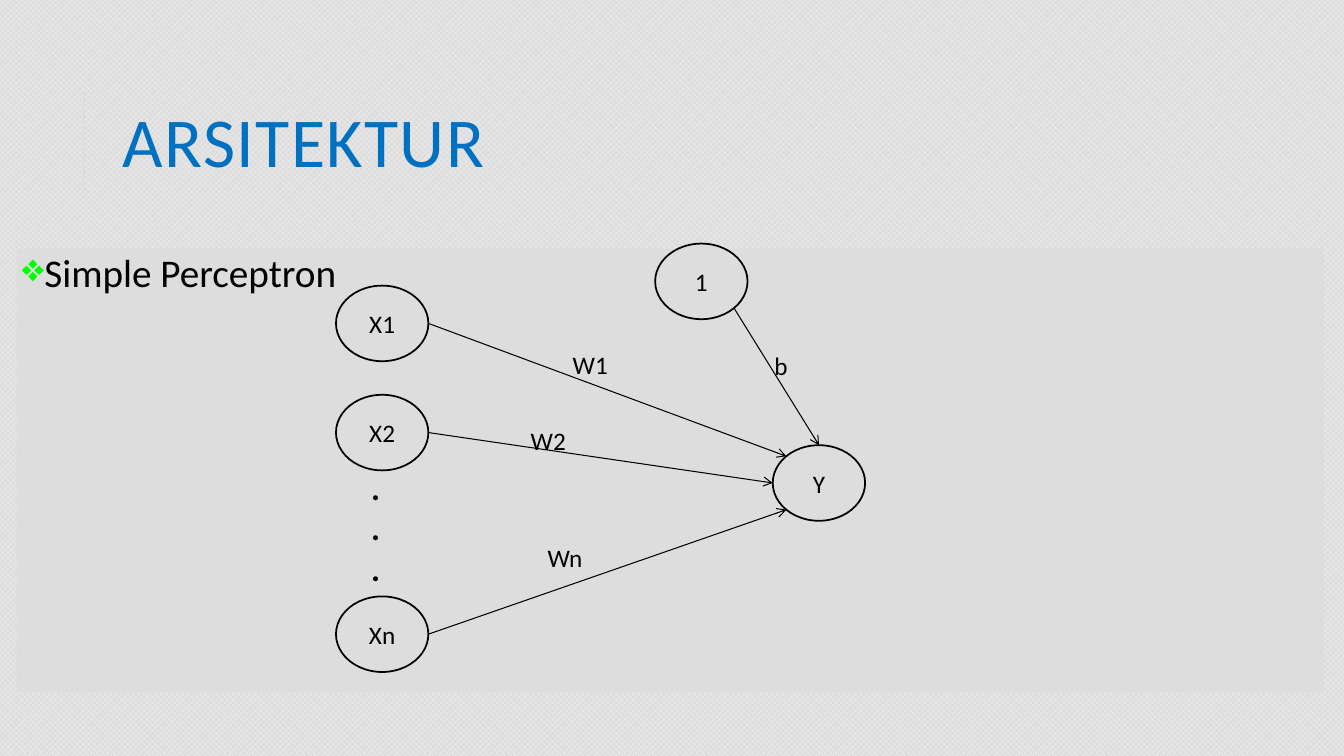
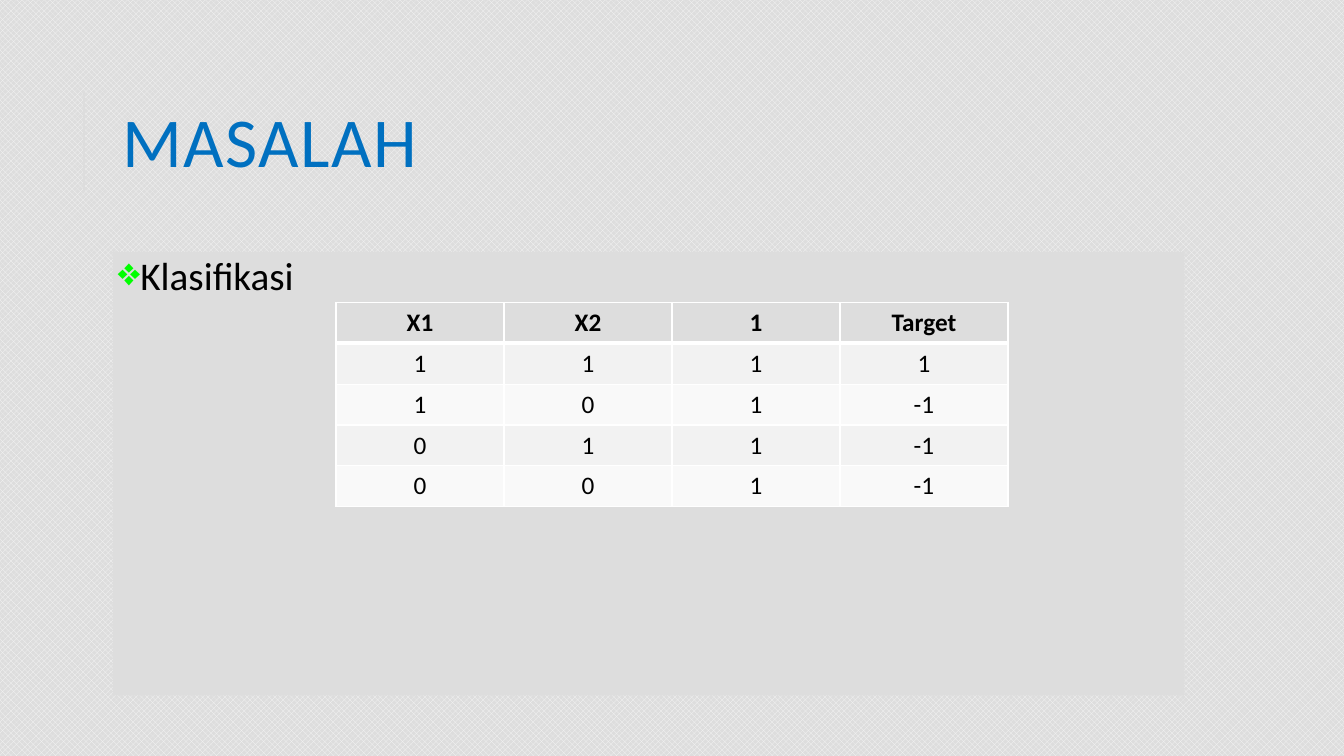
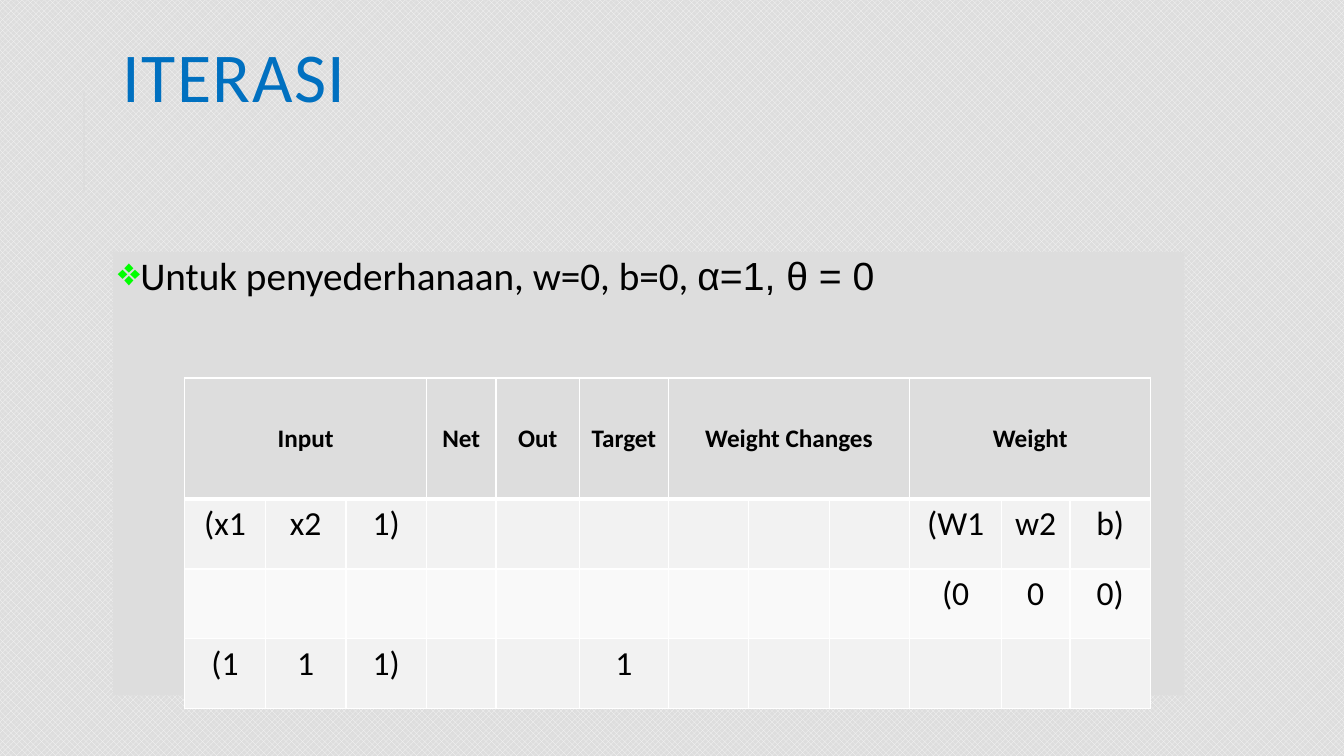
from math import cos, sin, radians
from lxml.etree import SubElement
from pptx import Presentation
from pptx.dml.color import RGBColor
from pptx.enum.dml import MSO_PATTERN
from pptx.enum.shapes import MSO_CONNECTOR, MSO_SHAPE
from pptx.enum.text import MSO_ANCHOR as ANCHOR, PP_ALIGN as ALIGN
from pptx.oxml.ns import qn
from pptx.util import Inches, Pt

COLUMNS, ROWS = 160, 90
BLUE, GREEN, BLACK, WHITE = "0070C0", "00FF00", "000000", "FFFFFF"
GREY, PALE, BAND, LIGHT = "DDDDDD", "F8F8F8", "F2F2F2", "F9F9F9"
TOP, TOP_LEFT, LEFT, BOTTOM_LEFT, BOTTOM_RIGHT, RIGHT = 0, 1, 2, 3, 5, 6


def rgb(code):
    return RGBColor.from_string(code)


def grid(*lengths):
    return [Inches(length / 12) for length in lengths]


def write(frame, content, size=18, color=BLACK, font="Calibri", bold=False, align=ALIGN.LEFT,
          anchor=ANCHOR.TOP, spacing=None, tracking=None, extra=None):
    frame.word_wrap = True
    frame.vertical_anchor = anchor
    for index, line in enumerate(content.split("\n")):
        paragraph = frame.add_paragraph() if index else frame.paragraphs[0]
        paragraph.alignment = align
        if spacing:
            paragraph.line_spacing = spacing
        for words, face in [(line, font)] + ([extra] if extra else []):
            run = paragraph.add_run()
            run.text = words
            run.font.name, run.font.size, run.font.bold = face, Pt(size), bold
            run.font.color.rgb = rgb(color)
            if tracking:
                run._r.get_or_add_rPr().set("spc", str(tracking * 100))


class Deck:
    """Holds the shared style and the slide being built."""

    def __init__(self):
        self.show = Presentation()
        self.show.slide_width, self.show.slide_height = grid(COLUMNS, ROWS)
        weave = self.show.slide_master.background.fill
        weave.patterned()
        weave.pattern = MSO_PATTERN.SOLID_DIAMOND
        weave.fore_color.rgb, weave.back_color.rgb = rgb(PALE), rgb(GREY)

    def start(self, title, top=7.7):
        self.shapes = self.show.slides.add_slide(self.show.slide_layouts[6]).shapes
        self.line((10, 22.8), (10, 10.8), GREY, 1.5)
        heading = self.shapes.add_textbox(*grid(13.44, top, 127.56, 19.7))
        write(heading.text_frame, title, size=50, color=BLUE, anchor=ANCHOR.MIDDLE,
              spacing=0.8, tracking=1)

    def line(self, start, end, color=BLACK, width=0.75):
        line = self.shapes.add_connector(MSO_CONNECTOR.STRAIGHT, *grid(*start, *end))
        line.line.color.rgb = rgb(color)
        line.line.width = Pt(width)
        SubElement(line._element.spPr, qn("a:effectLst"))
        return line

    def shape(self, kind, box, outline=None):
        shape = self.shapes.add_shape(kind, *grid(*box))
        shape.shadow.inherit = False
        shape.fill.solid()
        shape.fill.fore_color.rgb = rgb(GREY)
        if outline:
            shape.line.color.rgb = rgb(BLACK)
            shape.line.width = Pt(outline)
        else:
            shape.line.fill.background()
        return shape

    def body(self, content, left=13.44, top=30, width=127.56, extra=None):
        frame = self.shape(MSO_SHAPE.RECTANGLE, (left, top, width, 52.8)).text_frame
        frame.margin_left = frame.margin_right = frame.margin_top = frame.margin_bottom = Inches(0.05)
        write(frame, content, size=28, spacing=0.9, extra=extra)
        point = frame.paragraphs[0]
        point.space_before, point.space_after = Pt(12), Pt(2)
        properties = point._p.get_or_add_pPr()
        properties.set("marL", str(Inches(0.1)))
        properties.set("indent", str(-Inches(0.1)))
        SubElement(SubElement(properties, qn("a:buClr")), qn("a:srgbClr"), val=GREEN)
        SubElement(properties, qn("a:buChar"), char="❖")

    def node(self, name, left, top, width=11, height=9):
        oval = self.shape(MSO_SHAPE.OVAL, (left, top, width, height), 1.25)
        write(oval.text_frame, name, align=ALIGN.CENTER, anchor=ANCHOR.MIDDLE)

        def site(index):
            angle = radians(90 + 45 * index)
            return (left + width / 2 * (1 + cos(angle)), top + height / 2 * (1 - sin(angle)))
        return oval, site

    def arrow(self, source, source_site, target, target_site):
        arrow = self.line(source[1](source_site), target[1](target_site))
        SubElement(arrow.line._get_or_add_ln(), qn("a:tailEnd"), type="arrow")
        joints = arrow._element.nvCxnSpPr.cNvCxnSpPr
        for tag, end, index in (("a:stCxn", source, source_site), ("a:endCxn", target, target_site)):
            SubElement(joints, qn(tag), id=str(end[0].shape_id), idx=str(index))

    def label(self, content, left, top, width=8.5, height=4.8, **style):
        write(self.shapes.add_textbox(*grid(left, top, width, height)).text_frame, content, **style)

    def border(self, cell, row):
        properties = cell._tc.get_or_add_tcPr()
        widths = {"L": 1, "R": 1, "T": 3 if row == 1 else 1, "B": 3 if row == 0 else 1}
        for side, width in widths.items():
            edge = SubElement(properties, qn("a:ln" + side), w=str(Pt(width)))
            SubElement(SubElement(edge, qn("a:solidFill")), qn("a:srgbClr"), val=WHITE)

    def table(self, rows, box, shares, heights, size=18, spans=(), head_anchor=ANCHOR.TOP):
        table = self.shapes.add_table(len(rows), len(shares), *grid(*box)).table
        for column, share in zip(table.columns, shares):
            column.width = grid(box[2] * share / sum(shares))[0]
        for r, (row, height) in enumerate(zip(rows, heights)):
            table.rows[r].height = grid(height)[0]
            for c, value in enumerate(row):
                cell = table.cell(r, c)
                self.border(cell, r)
                cell.fill.solid()
                cell.fill.fore_color.rgb = rgb(GREY if r == 0 else BAND if r % 2 else LIGHT)
                if value:
                    write(cell.text_frame, value, size=size if r else 18, bold=r == 0, align=ALIGN.CENTER)
                cell.vertical_anchor = ANCHOR.TOP if r else head_anchor
        for first in spans:
            table.cell(0, first).merge(table.cell(0, first + 2))


def architecture(deck):
    deck.start("ARSITEKTUR")
    deck.body("Simple Perceptron", 2, 29.6, 155.6)
    x1, x2, xn = [deck.node(name, 40, top) for name, top in (("X1", 34), ("X2", 47), ("Xn", 71))]
    output = deck.node("Y", 92, 53)
    bias = deck.node("1", 78, 29)
    for unit, entry in ((x1, TOP_LEFT), (x2, LEFT), (xn, BOTTOM_LEFT)):
        deck.arrow(unit, RIGHT, output, entry)
    deck.arrow(bias, BOTTOM_RIGHT, output, TOP)
    deck.label(".\n.\n.", 43, 55, 9.7, 15.7, size=24, bold=True)
    for weight, left, top in (("b", 91, 41.1), ("W1", 67, 41), ("W2", 62, 50), ("Wn", 64, 64)):
        deck.label(weight, left, top)


def problem(deck):
    deck.start("MASALAH")
    deck.body("Klasifikasi")
    samples = [["X1", "X2", "1", "Target"], ["1", "1", "1", "1"], ["1", "0", "1", "-1"],
               ["0", "1", "1", "-1"], ["0", "0", "1", "-1"]]
    deck.table(samples, (40, 36, 80, 24.4), [1] * 4, [4.87] * 5)


def iteration(deck):
    deck.start("ITERASI", top=0)
    deck.body("Untuk penyederhanaan, w=0, b=0, ", extra=("α=1, θ = 0", "Arial"))
    steps = [["Input", "", "", "Net", "Out", "Target", "Weight Changes", "", "", "Weight", "", ""],
             ["(x1", "x2", "1)"] + [""] * 6 + ["(W1", "w2", "b)"],
             [""] * 9 + ["(0", "0", "0)"],
             ["(1", "1", "1)", "", "", "1"] + [""] * 6]
    triple = [0.8] * 3
    deck.table(steps, (22, 45, 115, 39.3), triple + [0.69, 0.83, 0.88] + triple + [0.91, 0.68, 0.8],
               [14.4] + [8.33] * 3, size=24, spans=(0, 6, 9), head_anchor=ANCHOR.MIDDLE)


def main():
    deck = Deck()
    for build in (architecture, problem, iteration):
        build(deck)
    deck.show.save("out.pptx")


if __name__ == "__main__":
    main()
